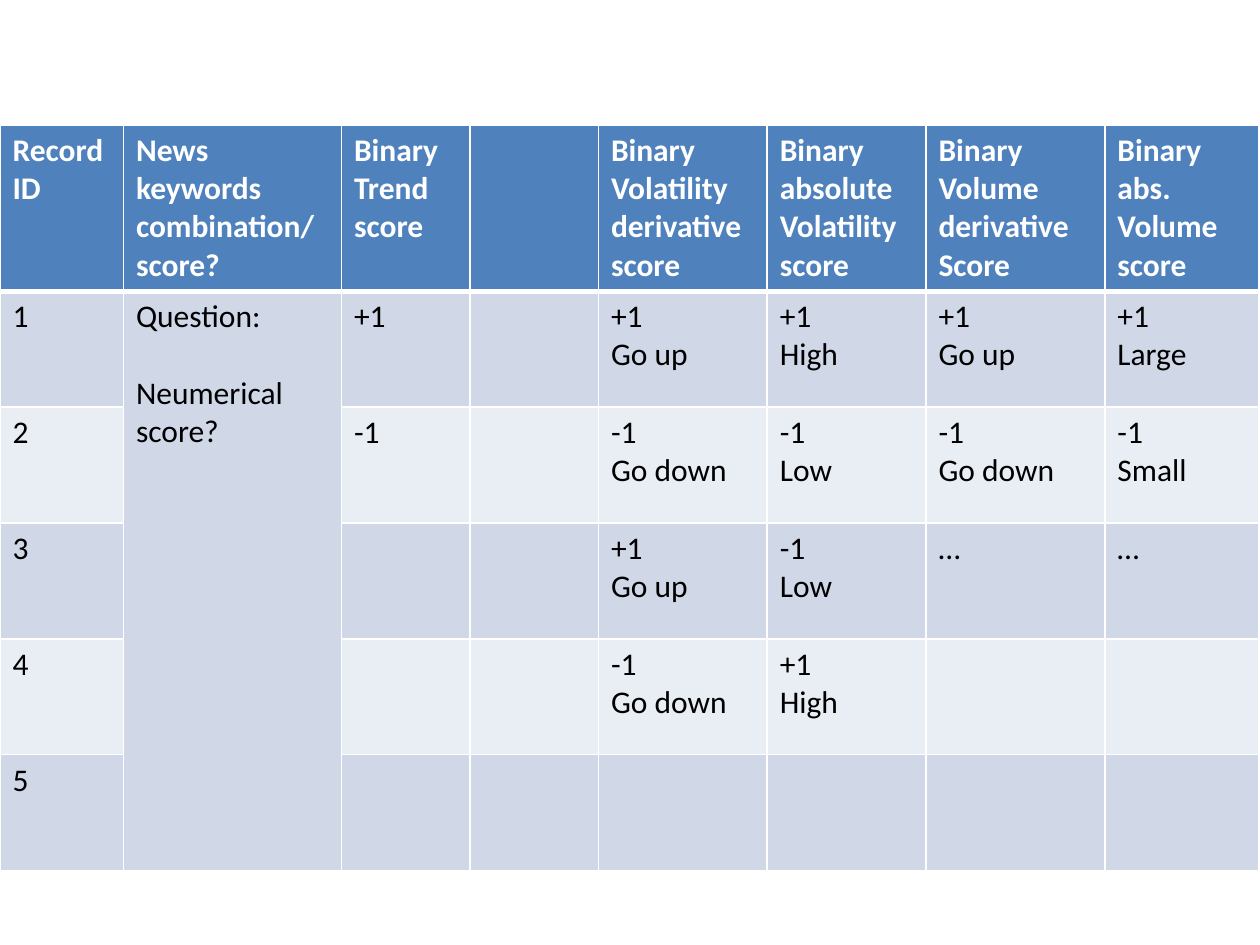
import dataclasses

import pptx
import pptx.dml.color
import pptx.oxml
import pptx.oxml.ns
import pptx.util

Inches = pptx.util.Inches
Pt = pptx.util.Pt
Color = pptx.dml.color.RGBColor.from_string


@dataclasses.dataclass
class Theme:
    font: str = "Calibri"
    size: int = 18
    gap: int = 22
    head: str = "4F81BD"
    bands: tuple = ("D0D8E8", "E9EDF4")
    light: str = "FFFFFF"
    dark: str = "000000"
    thin: int = 1
    thick: int = 3


class Deck:
    def __init__(self, theme):
        self.theme = theme
        self.file = pptx.Presentation()
        self.file.slide_width = Inches(10)
        self.file.slide_height = Inches(7.5)
        self.slide = self.file.slides.add_slide(self.file.slide_layouts[6])

    def edge(self, cell, side, width):
        space = pptx.oxml.ns.nsdecls("a")
        cell._tc.get_or_add_tcPr().append(pptx.oxml.parse_xml(
            f'<a:ln{side} {space} w="{Pt(width)}"><a:solidFill>'
            f'<a:srgbClr val="{self.theme.light}"/></a:solidFill></a:ln{side}>'))

    def text(self, cell, words, bold, color):
        frame = cell.text_frame
        for i, line in enumerate(words.split("\n")):
            para = frame.add_paragraph() if i else frame.paragraphs[0]
            para.font.size = Pt(self.theme.size)
            if not line:
                continue
            run = para.add_run()
            run.text = line
            run.font.name = self.theme.font
            run.font.size = Pt(self.theme.size)
            run.font.bold = bold
            run.font.color.rgb = Color(color)

    def cell(self, cell, row, words):
        theme = self.theme
        for side in "LRTB":
            heavy = (row, side) in ((0, "B"), (1, "T"))
            self.edge(cell, side, theme.thick if heavy else theme.thin)
        fill = theme.bands[(row - 1) % 2] if row else theme.head
        cell.fill.solid()
        cell.fill.fore_color.rgb = Color(fill)
        self.text(cell, words, row == 0, theme.dark if row else theme.light)

    def table(self, left, top, widths, heights, rows):
        frame = self.slide.shapes.add_table(
            len(rows), len(widths), Inches(left), Inches(top),
            Inches(sum(widths)), Inches(sum(heights)))
        grid = frame.table
        for col, width in zip(grid.columns, widths):
            col.width = Inches(width)
        for line, height in zip(grid.rows, heights):
            line.height = Inches(height)
        for r, row in enumerate(rows):
            for c, words in enumerate(row):
                self.cell(grid.cell(r, c), r, words)
        return grid


HEADS = ["Record ID", "News keywords\ncombination/score?",
         "Binary Trend score", "", "Binary Volatility derivative score",
         "Binary absolute Volatility score", "Binary Volume derivative Score",
         "Binary abs. Volume score"]
UP, DOWN = "+1\nGo up", "-1\nGo down"
HIGH, LOW = "+1\nHigh", "-1\nLow"
ROWS = [
    HEADS,
    ["1", "Question:\nNeumerical score?", "+1", "", UP, HIGH, UP, "+1\nLarge"],
    ["2", "", "-1", "", DOWN, LOW, DOWN, "-1\nSmall"],
    ["3", "", "", "", UP, LOW, "…", "…"],
    ["4", "", "", "", DOWN, HIGH, "", ""],
    ["5", "", "", "", "", "", "", ""],
]
WIDTHS = [0.98, 1.73, 1.02, 1.02, 1.34, 1.26, 1.42, 1.22]
HEIGHTS = [1.31] + [0.92] * 5


def main():
    deck = Deck(Theme())
    grid = deck.table(0, 0.99, WIDTHS, HEIGHTS, ROWS)
    news = grid.cell(1, 1)
    news.merge(grid.cell(5, 1))
    news.text_frame.paragraphs[1].space_before = Pt(deck.theme.gap)
    deck.file.save("out.pptx")


if __name__ == "__main__":
    main()
